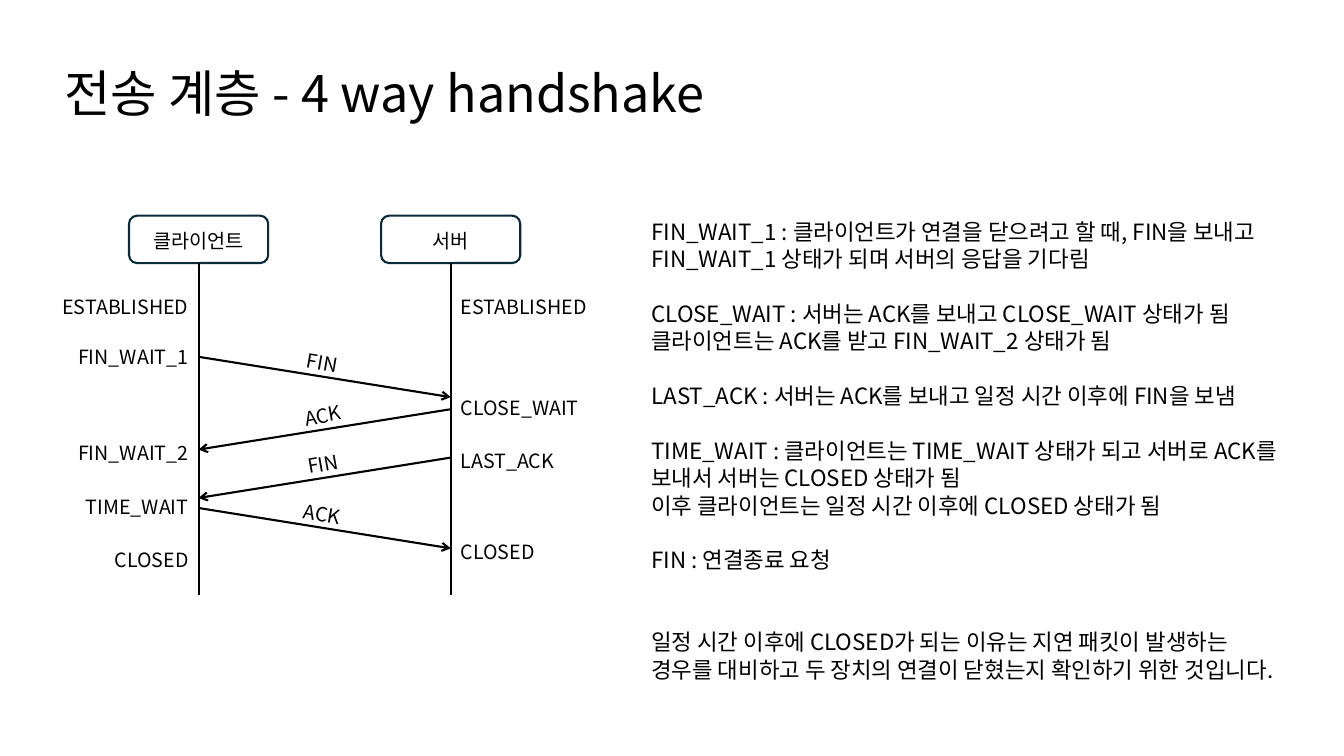
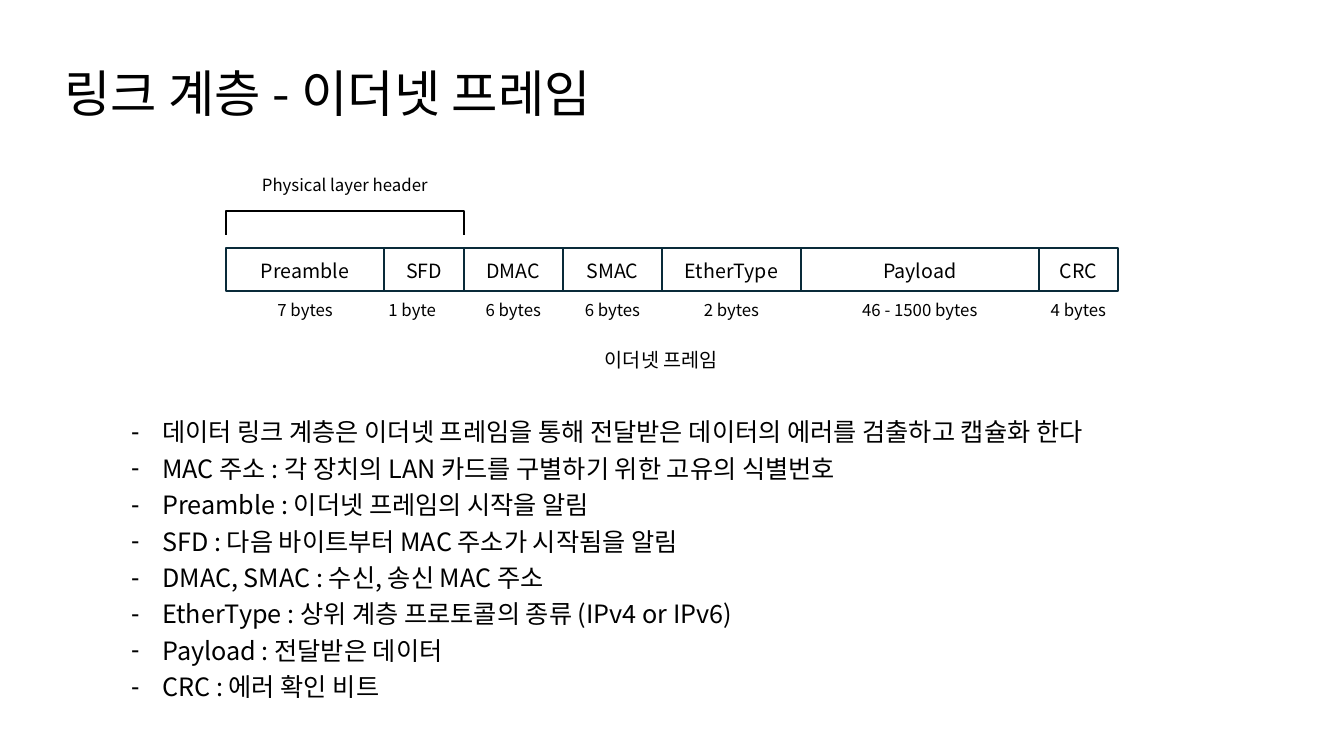
import dataclasses
import itertools

import pptx
import pptx.dml.color
import pptx.enum.shapes
import pptx.enum.text
import pptx.oxml
import pptx.oxml.ns
import pptx.util

Inches = pptx.util.Inches
Pt = pptx.util.Pt
ALIGN = pptx.enum.text.PP_ALIGN
ANCHOR = pptx.enum.text.MSO_ANCHOR
SHAPE = pptx.enum.shapes.MSO_SHAPE


@dataclasses.dataclass(frozen=True)
class Theme:
    font: str = "Noto Sans CJK KR"
    ink: str = "000000"
    border: str = "092A39"
    line: float = 1.5
    title: int = 36
    bullet: int = 18
    note: int = 16
    label: int = 14
    small: int = 12
    leading: float = 1.22
    drop: float = 0.09


T = Theme()
W, H = 13.33, 7.5
TITLE_BOX = (0.54, 0.51, 12.2, 0.71)

HANDSHAKE = {
    "title": "전송 계층 - 4 way handshake",
    "hosts": [
        ("클라이언트", 1.97, ALIGN.RIGHT, [
            ("ESTABLISHED", 3.02), ("FIN_WAIT_1", 3.52), ("FIN_WAIT_2", 4.47),
            ("TIME_WAIT", 5.01), ("CLOSED", 5.53)]),
        ("서버", 4.47, ALIGN.LEFT, [
            ("ESTABLISHED", 3.02), ("CLOSE_WAIT", 4.03), ("LAST_ACK", 4.55),
            ("CLOSED", 5.45)]),
    ],
    "messages": [("FIN", 3.54, True), ("ACK", 4.06, False),
                 ("FIN", 4.54, False), ("ACK", 5.04, True)],
    "notes": [
        (0, "FIN_WAIT_1 : 클라이언트가 연결을 닫으려고 할 때, FIN을 보내고 "
            "FIN_WAIT_1 상태가 되며 서버의 응답을 기다림"),
        (1, "CLOSE_WAIT : 서버는 ACK를 보내고 CLOSE_WAIT 상태가 됨"),
        (0, "클라이언트는 ACK를 받고 FIN_WAIT_2 상태가 됨"),
        (1, "LAST_ACK : 서버는 ACK를 보내고 일정 시간 이후에 FIN을 보냄"),
        (1, "TIME_WAIT : 클라이언트는 TIME_WAIT 상태가 되고 서버로 ACK를 "
            "보내서 서버는 CLOSED 상태가 됨"),
        (0, "이후 클라이언트는 일정 시간 이후에 CLOSED 상태가 됨"),
        (1, "FIN : 연결종료 요청"),
        (2, "일정 시간 이후에 CLOSED가 되는 이유는 지연 패킷이 발생하는"),
        (0, "경우를 대비하고 두 장치의 연결이 닫혔는지 확인하기 위한 것입니다."),
    ],
}

FRAME = {
    "title": "링크 계층 - 이더넷 프레임",
    "header": "Physical layer header",
    "caption": "이더넷 프레임",
    "fields": [
        ("Preamble", 8, "7 bytes", 0), ("SFD", 4, "1 byte", -0.6),
        ("DMAC", 5, "6 bytes", 0), ("SMAC", 5, "6 bytes", 0),
        ("EtherType", 7, "2 bytes", 0), ("Payload", 12, "46 - 1500 bytes", 0),
        ("CRC", 4, "4 bytes", 0)],
    "bullets": [
        "데이터 링크 계층은 이더넷 프레임을 통해 전달받은 데이터의 에러를 검출하고 캡슐화 한다",
        "MAC 주소 : 각 장치의 LAN 카드를 구별하기 위한 고유의 식별번호",
        "Preamble : 이더넷 프레임의 시작을 알림",
        "SFD : 다음 바이트부터 MAC 주소가 시작됨을 알림",
        "DMAC, SMAC : 수신, 송신 MAC 주소",
        "EtherType : 상위 계층 프로토콜의 종류 (IPv4 or IPv6)",
        "Payload : 전달받은 데이터",
        "CRC : 에러 확인 비트"],
}


def rgb(value):
    return pptx.dml.color.RGBColor.from_string(value)


def add_xml(parent, tag, **attrs):
    el = pptx.oxml.parse_xml(f"<a:{tag} {pptx.oxml.ns.nsdecls('a')}/>")
    for key, value in attrs.items():
        el.set(key, str(value))
    parent.append(el)


def write(sp, text, size, align=ALIGN.LEFT, anchor=ANCHOR.TOP, wrap=True, leading=None):
    tf = sp.text_frame
    tf.text = text
    tf.word_wrap = wrap
    tf.auto_size = pptx.enum.text.MSO_AUTO_SIZE.NONE
    tf.vertical_anchor = anchor
    tf.margin_top = Inches(0.05) + Pt(T.drop * size)
    for p in tf.paragraphs:
        p.alignment = align
        p.line_spacing = Pt(leading or T.leading * size)
        p.space_before = p.space_after = Pt(0)
        for r in p.runs:
            r.font.size = Pt(size)
            r.font.name = T.font
            r.font.color.rgb = rgb(T.ink)
            add_xml(r._r.get_or_add_rPr(), "ea", typeface=T.font)
    return tf


def place(sp, x, y, w, h):
    sp.left, sp.top, sp.width, sp.height = map(Inches, (x, y, w, h))
    return sp


def set_bullet(p, char=None, indent=0):
    pPr = p._p.get_or_add_pPr()
    pPr.set("marL", str(Inches(indent)))
    pPr.set("indent", str(-Inches(indent)))
    if char:
        add_xml(pPr, "buChar", char=char)
    else:
        add_xml(pPr, "buNone")


def add_slide(prs, title):
    s = prs.slides.add_slide(prs.slide_layouts[1])
    write(place(s.shapes.title, *TITLE_BOX), title, T.title)
    return s


def add_label(s, text, cx, cy, size=T.label, w=1.46, align=ALIGN.CENTER, rotation=0):
    h = 0.1 + T.leading * size / 72
    sp = s.shapes.add_textbox(*map(Inches, (cx - w / 2, cy - h / 2, w, h)))
    write(sp, text, size, align, wrap=False)
    sp.rotation = rotation


def add_box(s, kind, text, x, y, w, h):
    sp = s.shapes.add_shape(kind, *map(Inches, (x, y, w, h)))
    sp.shadow.inherit = False
    sp.fill.background()
    sp.line.color.rgb = rgb(T.border)
    sp.line.width = Pt(T.line)
    write(sp, text, T.label, ALIGN.CENTER, ANCHOR.MIDDLE, wrap=False)


def add_line(s, start, end, arrow=False):
    cxn = s.shapes.add_connector(pptx.enum.shapes.MSO_CONNECTOR.STRAIGHT,
                                 *map(Inches, (*start, *end)))
    cxn.line.color.rgb = rgb(T.ink)
    cxn.line.width = Pt(T.line)
    spPr = cxn.element.spPr
    if arrow:
        add_xml(spPr.find(pptx.oxml.ns.qn("a:ln")), "tailEnd", type="arrow")
    add_xml(spPr, "effectLst")


def build_handshake(prs):
    s = add_slide(prs, HANDSHAKE["title"])
    tf = write(place(s.placeholders[1], 6.36, 2.09, 6.8, 4.68),
               "\n".join(text for _, text in HANDSHAKE["notes"]), T.note)
    for p, (gap, _) in zip(tf.paragraphs, HANDSHAKE["notes"]):
        p.space_before = Pt(gap * T.leading * T.note)
        set_bullet(p)

    top, box_w, box_h, bottom, label_w = 2.14, 1.38, 0.47, 5.9, 1.46
    for host, x, align, states in HANDSHAKE["hosts"]:
        add_box(s, SHAPE.ROUNDED_RECTANGLE, host, x - box_w / 2, top, box_w, box_h)
        add_line(s, (x, top + box_h), (x, bottom))
        side = -1 if align == ALIGN.RIGHT else 1
        for state, y in states:
            add_label(s, state, x + side * label_w / 2, y, w=label_w, align=align)

    client, server = (host[1] for host in HANDSHAKE["hosts"])
    fall, tilt = 0.4, 10
    for name, y, to_server in HANDSHAKE["messages"]:
        start, end = (client, server) if to_server else (server, client)
        add_line(s, (start, y), (end, y + fall), arrow=True)
        add_label(s, name, (client + server) / 2 - 0.02, y + 0.04, w=0.61,
                  rotation=tilt if to_server else -tilt)


def build_frame(prs):
    s = add_slide(prs, FRAME["title"])
    tf = write(place(s.placeholders[1], 1.2, 4, 10.8, 2.99),
               "\n".join(FRAME["bullets"]), T.bullet, leading=26)
    for p in tf.paragraphs:
        set_bullet(p, "-", 0.31)

    left, top, total, h = 2.24, 2.46, 8.85, 0.43
    units = [field[1] for field in FRAME["fields"]]
    col = total / sum(units)
    starts = itertools.accumulate(units, initial=0)
    for (name, span, size, shift), start in zip(FRAME["fields"], starts):
        x, w = left + start * col, span * col
        add_box(s, SHAPE.RECTANGLE, name, x, top, w, h)
        add_label(s, size, x + w / 2 + shift * col, 3.06, T.small)

    right = left + sum(units[:2]) * col
    points = [(left, 2.33), (left, 2.09), (right, 2.09), (right, 2.33)]
    emu = [(Inches(x), Inches(y)) for x, y in points]
    path_builder = s.shapes.build_freeform(*emu[0])
    path_builder.add_line_segments(emu[1:], close=False)
    bracket = path_builder.convert_to_shape()
    bracket.shadow.inherit = False
    bracket.fill.background()
    bracket.line.color.rgb = rgb(T.ink)
    bracket.line.width = Pt(T.line)
    add_label(s, FRAME["header"], (left + right) / 2, 1.82, T.small, w=1.89)
    add_label(s, FRAME["caption"], 6.56, 3.55)


def main():
    prs = pptx.Presentation()
    prs.slide_width, prs.slide_height = Inches(W), Inches(H)
    build_handshake(prs)
    build_frame(prs)
    prs.save("out.pptx")


if __name__ == "__main__":
    main()
